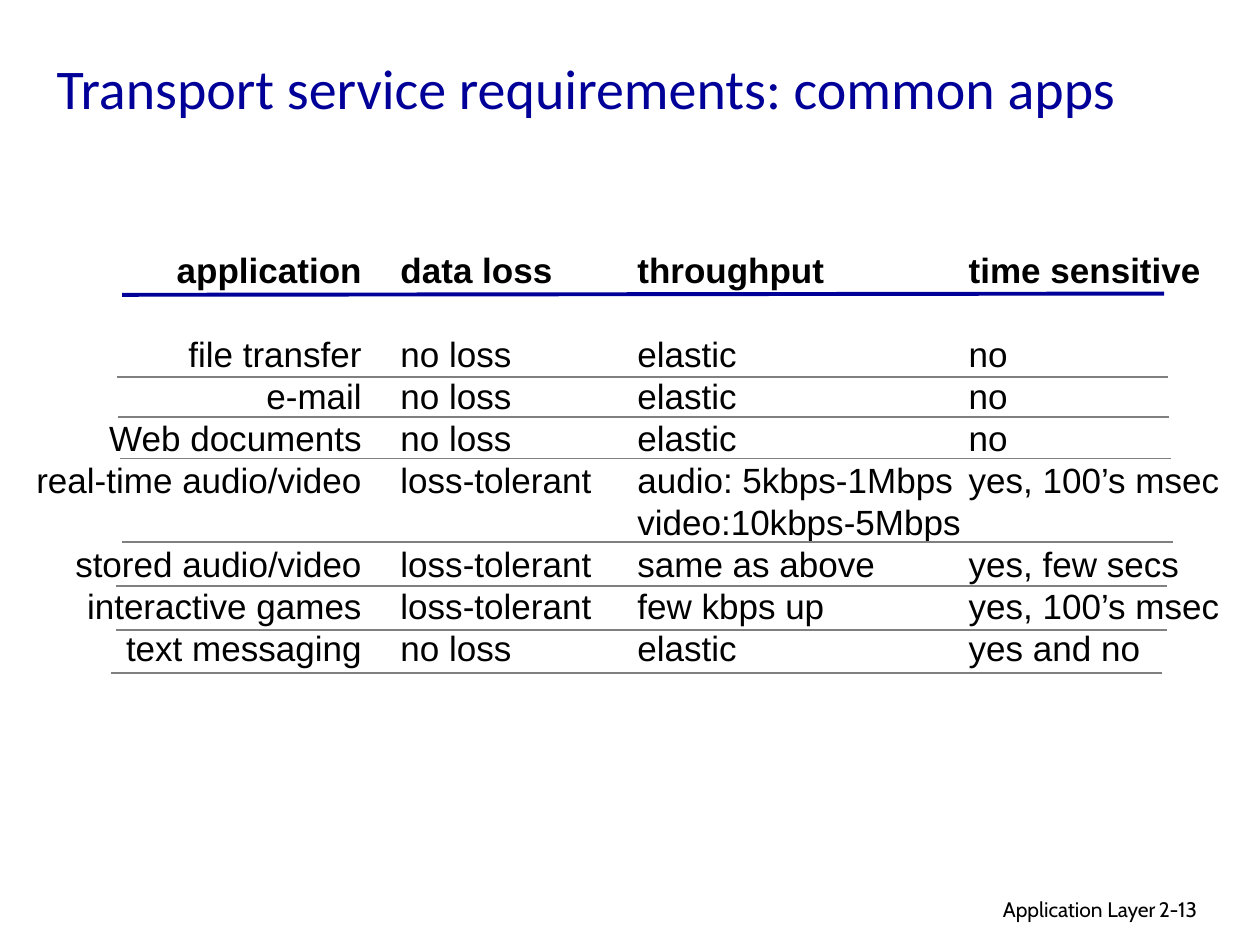
from dataclasses import dataclass

import pptx
import pptx.dml.color
import pptx.enum.shapes
import pptx.enum.text
import pptx.oxml.ns
import pptx.util
from lxml import etree

Inches, Pt = pptx.util.Inches, pptx.util.Pt
RGB = pptx.dml.color.RGBColor.from_string
ALIGN = pptx.enum.text.PP_ALIGN
ANCHOR = pptx.enum.text.MSO_ANCHOR
AUTO = pptx.enum.text.MSO_AUTO_SIZE


@dataclass(frozen=True)
class Theme:
    accent: str = "000099"
    text: str = "000000"
    rule: str = "808080"
    title_font: str = "Calibri"
    body_font: str = "Arial"
    footer_font: str = "Cabin"
    title_size: int = 32
    body_size: int = 20
    line_pitch: int = 24
    footer_size: int = 12


THEME = Theme()

# None leaves a line free, so that rows stay level across the columns.
APPLICATIONS = ["file transfer", "e-mail", "Web documents", "real-time audio/video",
                None, "stored audio/video", "interactive games", "text messaging"]
DATA_LOSS = ["no loss", "no loss", "no loss", "loss-tolerant",
             None, "loss-tolerant", "loss-tolerant", "no loss"]
THROUGHPUT = ["elastic", "elastic", "elastic", "audio: 5kbps-1Mbps",
              "video:10kbps-5Mbps", "same as above", "few kbps up", "elastic"]
TIME_SENSITIVE = ["no", "no", "no", "yes, 100’s msec",
                  None, "yes, few secs", "yes, 100’s msec", "yes and no"]

# heading, entries, left, width, align
COLUMNS = [
    ("application", APPLICATIONS, 0.09, 2.88, ALIGN.RIGHT),
    ("data loss", DATA_LOSS, 3.08, 1.81, ALIGN.LEFT),
    ("throughput", THROUGHPUT, 4.96, 2.82, ALIGN.LEFT),
    ("time sensitive", TIME_SENSITIVE, 7.59, 2.26, ALIGN.LEFT),
]
RULE_WIDTH = 8.34
# left, offset below the top of the columns
ROW_RULES = [(0.93, 1.07), (0.94, 1.39), (0.95, 1.72), (0.97, 2.38),
             (0.92, 2.73), (0.92, 3.08), (0.88, 3.42)]


def style(p, font, size, color, bold=False, align=ALIGN.LEFT):
    p.alignment = align
    p.font.name, p.font.size, p.font.bold = font, Pt(size), bold
    p.font.color.rgb = RGB(color)


def add_title(slide, text, left, top, width, height):
    s = slide.shapes.title
    s.left, s.top, s.width, s.height = map(Inches, (left, top, width, height))
    tf = s.text_frame
    tf.text = text
    tf.word_wrap = True
    tf.auto_size = AUTO.NONE
    tf.vertical_anchor = ANCHOR.MIDDLE
    style(tf.paragraphs[0], THEME.title_font, THEME.title_size, THEME.accent)


def add_rule(slide, start, end, color, weight):
    s = slide.shapes.add_connector(pptx.enum.shapes.MSO_CONNECTOR.STRAIGHT,
                                   *map(Inches, start + end))
    s.line.color.rgb = RGB(color)
    s.line.width = Pt(weight)
    etree.SubElement(s._element.spPr, pptx.oxml.ns.qn("a:effectLst"))


def add_column(slide, heading, entries, left, top, width, height, align):
    s = slide.shapes.add_textbox(*map(Inches, (left, top, width, height)))
    tf = s.text_frame
    tf.word_wrap = True
    tf.auto_size = AUTO.SHAPE_TO_FIT_TEXT
    skipped = 0
    for i, text in enumerate([heading, None] + entries):
        if text is None:
            skipped += 1
            continue
        p = tf.add_paragraph() if i else tf.paragraphs[0]
        p.text = text
        p.line_spacing = Pt(THEME.line_pitch)
        p.space_before = Pt(skipped * THEME.line_pitch)
        style(p, THEME.body_font, THEME.body_size, THEME.text, bold=i == 0, align=align)
        skipped = 0


def add_requirements(slide, top, height):
    for heading, entries, left, width, align in COLUMNS:
        add_column(slide, heading, entries, left, top, width, height, align)
    add_rule(slide, (0.97, top + 0.42), (9.24, top + 0.41), THEME.accent, 2.25)
    for left, offset in ROW_RULES:
        y = top + offset
        add_rule(slide, (left, y), (left + RULE_WIDTH, y), THEME.rule, 1)


def add_footer(slide, top, height):
    for text, left, width, align in [("Application Layer", 6.1, 3.17, ALIGN.RIGHT),
                                     ("2-13", 9.1, 0.74, ALIGN.LEFT)]:
        s = slide.shapes.add_textbox(*map(Inches, (left, top, width, height)))
        tf = s.text_frame
        tf.text = text
        tf.word_wrap = True
        style(tf.paragraphs[0], THEME.footer_font, THEME.footer_size, THEME.text, align=align)


def main():
    prs = pptx.Presentation()
    prs.slide_width, prs.slide_height = Inches(10), Inches(7.5)
    slide = prs.slides.add_slide(prs.slide_layouts.get_by_name("Title Only"))
    add_footer(slide, 7.07, 0.3)
    add_title(slide, "Transport service requirements: common apps", 0.35, 0.25, 8.97, 0.89)
    add_requirements(slide, 1.92, 3.44)
    prs.save("out.pptx")


if __name__ == "__main__":
    main()
